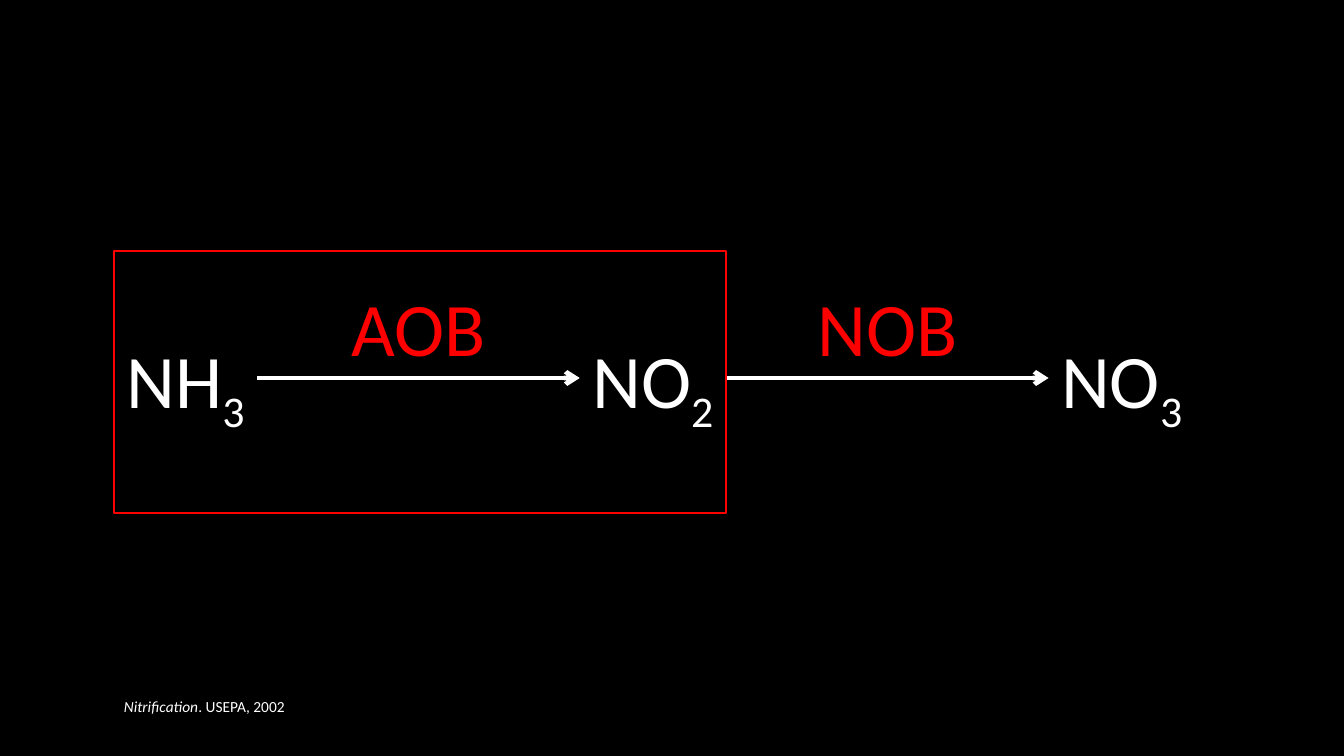
import pptx
import pptx.dml.color
import pptx.enum.shapes
import pptx.enum.text
import pptx.oxml.ns
import pptx.util
from lxml import etree
from pptx.util import Inches

BLACK = pptx.dml.color.RGBColor(0x00, 0x00, 0x00)
WHITE = pptx.dml.color.RGBColor(0xFF, 0xFF, 0xFF)
RED = pptx.dml.color.RGBColor(0xFF, 0x00, 0x00)

MARGIN = 1.13
ARROW_Y = 3.75
ARROW_LENGTH = 3.2
FORMULA_TOP = 3.25
BACTERIA_TOP = 2.74
LABEL_HEIGHT = 1.01
FORMULAS = [("NH", "3", 1.42), ("NO", "2", 1.45), ("NO", "3", 1.45)]
BACTERIA = [("AOB", 1.55), ("NOB", 1.6)]


def add_text(slide, text, left, top, width, height, *, size=54, color=WHITE,
             subscript="", italic_lead="", centered=True, wrap=False):
    """Add one paragraph: an italic lead, the text, then a subscript."""
    box = slide.shapes.add_textbox(
        Inches(left), Inches(top), Inches(width), Inches(height))
    frame = box.text_frame
    frame.word_wrap = wrap
    frame.auto_size = pptx.enum.text.MSO_AUTO_SIZE.SHAPE_TO_FIT_TEXT
    paragraph = frame.paragraphs[0]
    if centered:
        paragraph.alignment = pptx.enum.text.PP_ALIGN.CENTER
    for part in (italic_lead, text, subscript):
        if not part:
            continue
        run = paragraph.add_run()
        run.text = part
        run.font.name = "Calibri"
        run.font.size = pptx.util.Pt(size)
        run.font.color.rgb = color
        if part == italic_lead:
            run.font.italic = True
        if part == subscript:
            run._r.get_or_add_rPr().set("baseline", "-25000")


def add_arrow(slide, left, right, y):
    arrow = slide.shapes.add_connector(
        pptx.enum.shapes.MSO_CONNECTOR.STRAIGHT,
        Inches(left), Inches(y), Inches(right), Inches(y))
    arrow.line.color.rgb = WHITE
    arrow.line.width = pptx.util.Pt(3.25)
    line = arrow.line._get_or_add_ln()
    etree.SubElement(line, pptx.oxml.ns.qn("a:tailEnd"), type="arrow")
    etree.SubElement(arrow._element.spPr, pptx.oxml.ns.qn("a:effectLst"))


def add_outline(slide, left, top, width, height):
    outline = slide.shapes.add_shape(
        pptx.enum.shapes.MSO_SHAPE.RECTANGLE,
        Inches(left), Inches(top), Inches(width), Inches(height))
    outline.shadow.inherit = False
    outline.fill.background()
    outline.line.color.rgb = RED
    outline.line.width = pptx.util.Pt(1)


def add_reaction_chain(slide):
    """Lay formulas and arrows end to end, with bacteria above each arrow."""
    left = MARGIN
    for index, (formula, subscript, width) in enumerate(FORMULAS):
        add_text(slide, formula, left, FORMULA_TOP, width, LABEL_HEIGHT,
                 subscript=subscript)
        left += width
        if index < len(BACTERIA):
            name, name_width = BACTERIA[index]
            add_arrow(slide, left, left + ARROW_LENGTH, ARROW_Y)
            add_text(slide, name, left + (ARROW_LENGTH - name_width) / 2,
                     BACTERIA_TOP, name_width, LABEL_HEIGHT, color=RED)
            left += ARROW_LENGTH


def main():
    presentation = pptx.Presentation()
    presentation.slide_width = Inches(13.33)
    presentation.slide_height = Inches(7.5)
    slide = presentation.slides.add_slide(presentation.slide_layouts[6])
    slide.background.fill.solid()
    slide.background.fill.fore_color.rgb = BLACK

    add_reaction_chain(slide)
    first_step_width = FORMULAS[0][2] + ARROW_LENGTH + FORMULAS[1][2]
    add_outline(slide, MARGIN, 2.49, first_step_width, 2.6)
    add_text(slide, ". USEPA, 2002", MARGIN, 6.87, 3.1, 0.29, size=11,
             italic_lead="Nitrification", centered=False, wrap=True)
    presentation.save("out.pptx")


if __name__ == "__main__":
    main()
